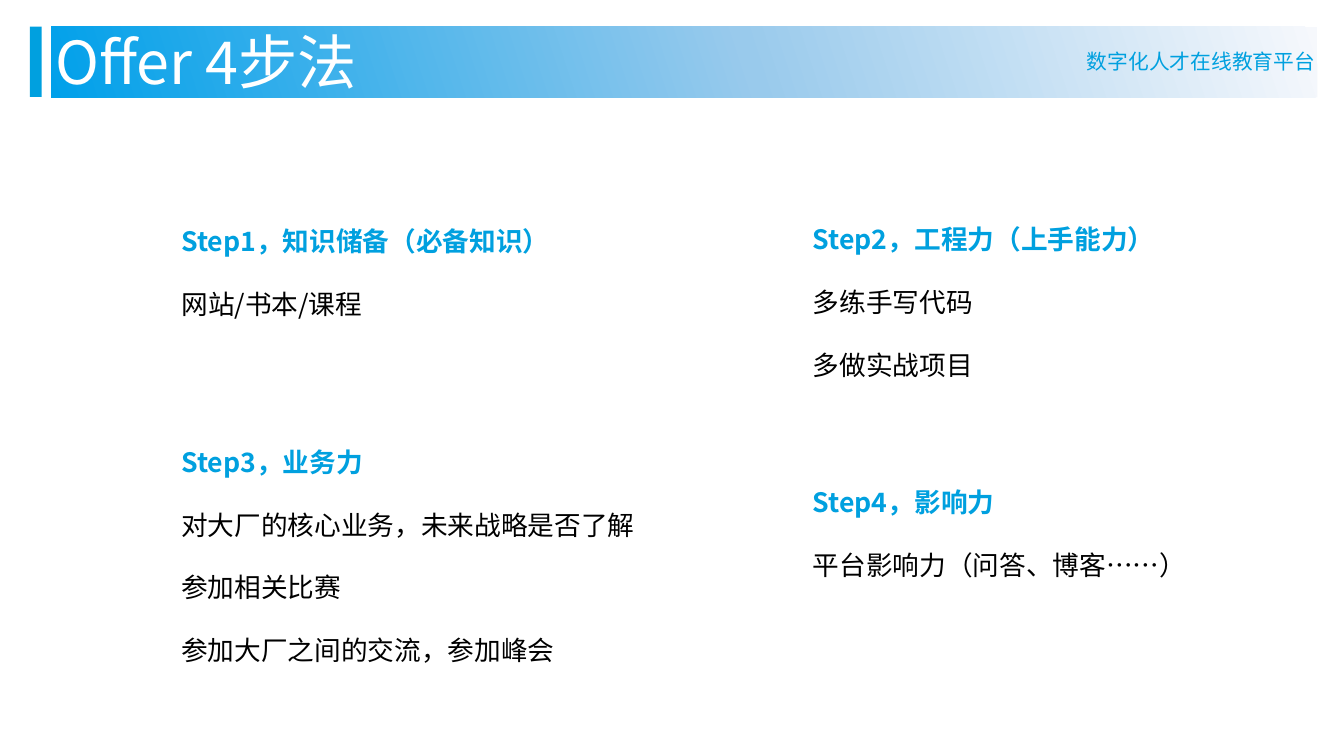
from copy import deepcopy

from pptx import Presentation
from pptx.dml.color import RGBColor
from pptx.enum.shapes import MSO_SHAPE
from pptx.enum.text import MSO_ANCHOR, MSO_AUTO_SIZE, PP_ALIGN
from pptx.util import Inches, Pt

RECTANGLE = MSO_SHAPE.RECTANGLE
TOP = MSO_ANCHOR.TOP
LEFT = PP_ALIGN.LEFT
NO_AUTOFIT = MSO_AUTO_SIZE.NONE

BLUE = RGBColor(0x00, 0xA0, 0xDF)
BLACK = RGBColor(0x00, 0x00, 0x00)
WHITE = RGBColor(0xFF, 0xFF, 0xFF)
BANNER_STOPS = [
    (0, RGBColor(0xF6, 0xF8, 0xFC)),
    (0.45, RGBColor(0x99, 0xCA, 0xEC)),
    (1, RGBColor(0x00, 0xA0, 0xEA)),
]
BANNER_FONT = "Noto Sans CJK JP"
STEP_FONT = "Noto Sans CJK SC"

SLIDE_WIDTH, SLIDE_HEIGHT = 12.6, 7.09
LEFT_COLUMN, RIGHT_COLUMN = 1.65, 7.57
STEPS = [
    ((LEFT_COLUMN, 1.91, 5.51, 1.35),
     ["Step1，知识储备（必备知识）", "网站/书本/课程"]),
    ((RIGHT_COLUMN, 1.89, 3.81, 1.35),
     ["Step2，工程力（上手能力）", "多练手写代码", "多做实战项目"]),
    ((LEFT_COLUMN, 3.98, 4.86, 1.99),
     ["Step3，业务力", "对大厂的核心业务，未来战略是否了解",
      "参加相关比赛", "参加大厂之间的交流，参加峰会"]),
    ((RIGHT_COLUMN, 4.36, 3.81, 1.23),
     ["Step4，影响力", "平台影响力（问答、博客……）"]),
]


def write_text(paragraph, text, *, size, font, color, bold=False,
               line_spacing=1.0, space_before=0):
    paragraph.alignment = LEFT
    paragraph.line_spacing = line_spacing
    paragraph.space_before = Pt(space_before)
    run = paragraph.add_run()
    run.text = text
    run.font.size = Pt(size)
    run.font.name = font
    run.font.bold = bold
    run.font.color.rgb = color
    properties = run.font._element
    east_asian = properties.makeelement(
        properties.find("{*}latin").tag.replace("latin", "ea"), {"typeface": font})
    properties.find("{*}latin").addnext(east_asian)


def prepare_frame(shape, inset_x=0.1, inset_y=0.05, wrap=True):
    frame = shape.text_frame
    frame.word_wrap = wrap
    frame.auto_size = NO_AUTOFIT
    frame.vertical_anchor = TOP
    frame.margin_left = frame.margin_right = Inches(inset_x)
    frame.margin_top = frame.margin_bottom = Inches(inset_y)
    return frame


def add_bar(slide, left, top, width, height):
    bar = slide.shapes.add_shape(
        RECTANGLE, Inches(left), Inches(top), Inches(width), Inches(height))
    bar.shadow.inherit = False
    bar.line.fill.background()
    return bar


def fill_gradient(shape, stops, angle):
    shape.fill.gradient()
    shape.fill.gradient_angle = angle
    stop_list = shape._element.spPr.find(".//{*}gsLst")
    while len(stop_list) < len(stops):
        stop_list.append(deepcopy(stop_list[0]))
    for gradient_stop, (position, color) in zip(shape.fill.gradient_stops, stops):
        gradient_stop.position = position
        gradient_stop.color.rgb = color


def add_banner(slide, left, top, width, height):
    accent = add_bar(slide, left, top, 0.11, height)
    accent.fill.solid()
    accent.fill.fore_color.rgb = BLUE

    band = add_bar(slide, left + 0.2, top, width - 0.2, height)
    band.rotation = 180
    fill_gradient(band, BANNER_STOPS, angle=18)

    title = slide.shapes.title
    title.left, title.top = Inches(left + 0.14), Inches(top - 0.06)
    title.width, title.height = Inches(5.51), Inches(0.77)
    write_text(prepare_frame(title).paragraphs[0], "Offer 4步法",
               size=40, font=BANNER_FONT, color=WHITE)
    # Bring the title in front of the band.
    slide.shapes._spTree.append(title._element)

    tagline = slide.shapes.add_textbox(
        Inches(left + width - 2.26), Inches(top + 0.16), Inches(2.46), Inches(0.34))
    write_text(prepare_frame(tagline, wrap=False).paragraphs[0],
               "数字化人才在线教育平台", size=14, font=BANNER_FONT, color=BLUE)


def add_step(slide, box, lines):
    step = slide.shapes.add_textbox(*map(Inches, box))
    frame = prepare_frame(step, inset_x=0.05)
    for index, line in enumerate(lines):
        heading = index == 0
        paragraph = frame.paragraphs[0] if heading else frame.add_paragraph()
        write_text(paragraph, line, size=18, font=STEP_FONT, bold=heading,
                   color=BLUE if heading else BLACK, line_spacing=1.5,
                   space_before=0 if heading else 10)


def main():
    presentation = Presentation()
    presentation.slide_width = Inches(SLIDE_WIDTH)
    presentation.slide_height = Inches(SLIDE_HEIGHT)
    title_only = presentation.slide_layouts.get_by_name("Title Only")
    slide = presentation.slides.add_slide(title_only)
    add_banner(slide, 0.28, 0.25, 12.07, 0.66)
    for box, lines in STEPS:
        add_step(slide, box, lines)
    presentation.save("out.pptx")


if __name__ == "__main__":
    main()
